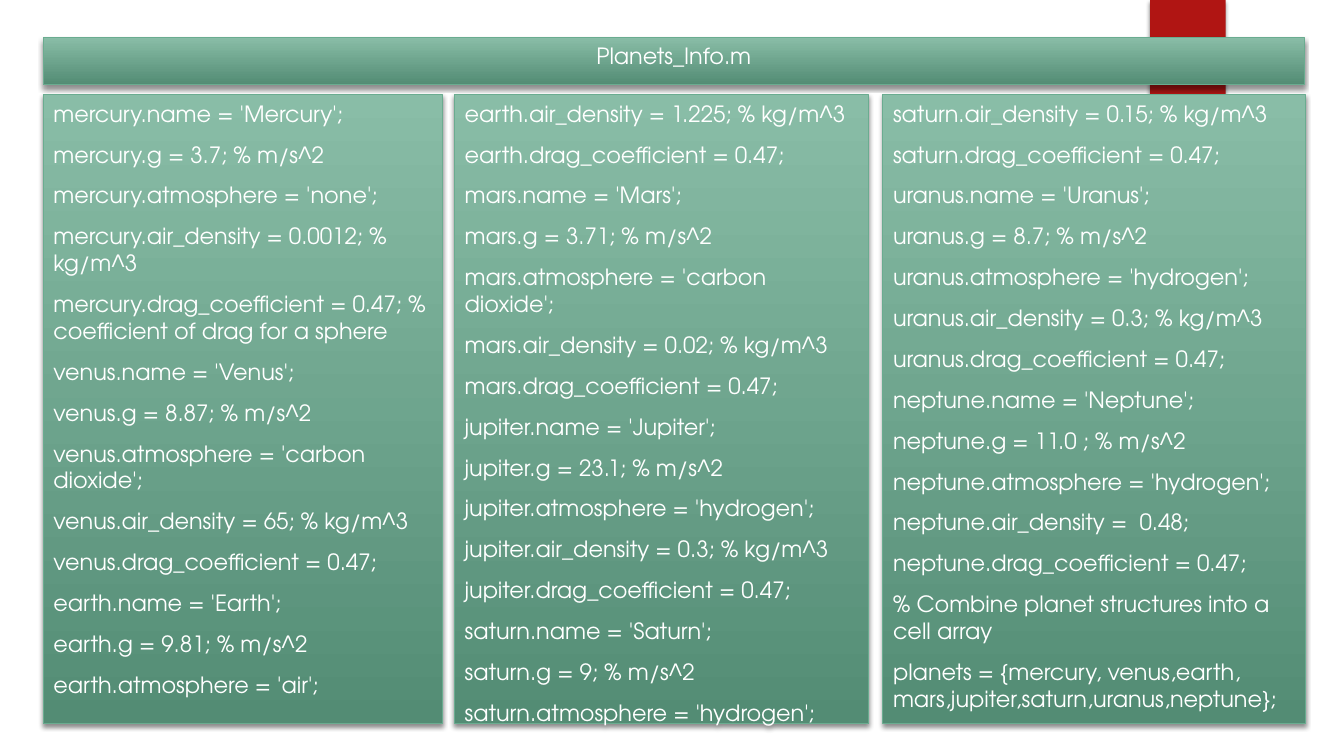
from lxml.etree import SubElement
from pptx import Presentation
from pptx.dml.color import RGBColor as Color
from pptx.enum.shapes import MSO_SHAPE as Preset
from pptx.enum.text import MSO_ANCHOR as Anchor, MSO_AUTO_SIZE as AutoSize, PP_ALIGN as Align
from pptx.oxml.ns import qn
from pptx.util import Pt

COLORS = {"ribbon": "B01513", "top": "89BDA7", "bottom": "538C74",
          "edge": "6AAC90", "text": "FFFFFF", "shadow": "000000"}
FRAME_FORMAT = {"word_wrap": True, "auto_size": AutoSize.NONE, "vertical_anchor": Anchor.TOP,
                "margin_left": Pt(7.2), "margin_right": Pt(7.2),
                "margin_top": Pt(3.6), "margin_bottom": Pt(3.6)}
PARA_FORMAT = {"space_before": Pt(10), "space_after": Pt(0), "line_spacing": 1.0}
FONT_FORMAT = {"name": "TeX Gyre Adventor", "size": Pt(16), "bold": False}

TITLE = "Planets_Info.m"
TITLE_PLACE = (30.96, 26.64, 900.72, 33.84)
COLUMN_TOP, COLUMN_HEIGHT = 67.68, 449.28
COLUMNS = [
    (30.96, 285.12, [
        "mercury.name = 'Mercury';",
        "mercury.g = 3.7; % m/s^2",
        "mercury.atmosphere = 'none';",
        "mercury.air_density = 0.0012; % kg/m^3",
        "mercury.drag_coefficient = 0.47; % coefficient of drag for a sphere",
        "venus.name = 'Venus';",
        "venus.g = 8.87; % m/s^2",
        "venus.atmosphere = 'carbon dioxide';",
        "venus.air_density = 65; % kg/m^3",
        "venus.drag_coefficient = 0.47;",
        "earth.name = 'Earth';",
        "earth.g = 9.81; % m/s^2",
        "earth.atmosphere = 'air';",
    ]),
    (324.72, 295.92, [
        "earth.air_density = 1.225; % kg/m^3",
        "earth.drag_coefficient = 0.47;",
        "mars.name = 'Mars';",
        "mars.g = 3.71; % m/s^2",
        "mars.atmosphere = 'carbon dioxide';",
        "mars.air_density = 0.02; % kg/m^3",
        "mars.drag_coefficient = 0.47;",
        "jupiter.name = 'Jupiter';",
        "jupiter.g = 23.1; % m/s^2",
        "jupiter.atmosphere = 'hydrogen';",
        "jupiter.air_density = 0.3; % kg/m^3",
        "jupiter.drag_coefficient = 0.47;",
        "saturn.name = 'Saturn';",
        "saturn.g = 9; % m/s^2",
        "saturn.atmosphere = 'hydrogen';",
    ]),
    (630.72, 301.68, [
        "saturn.air_density = 0.15; % kg/m^3",
        "saturn.drag_coefficient = 0.47;",
        "uranus.name = 'Uranus';",
        "uranus.g = 8.7; % m/s^2",
        "uranus.atmosphere = 'hydrogen';",
        "uranus.air_density = 0.3; % kg/m^3",
        "uranus.drag_coefficient = 0.47;",
        "neptune.name = 'Neptune';",
        "neptune.g = 11.0 ; % m/s^2",
        "neptune.atmosphere = 'hydrogen';",
        "neptune.air_density =  0.48;",
        "neptune.drag_coefficient = 0.47;",
        "% Combine planet structures into a cell array",
        "planets = {mercury, venus,earth, mars,jupiter,saturn,uranus,neptune};",
    ]),
]


def color(name):
    return Color.from_string(COLORS[name])


def apply_format(target, values):
    for name, value in values.items():
        setattr(target, name, value)


def add_shadow(shape):
    shape.shadow.inherit = False
    effects = shape.element.spPr.find(qn("a:effectLst"))
    shadow = SubElement(effects, qn("a:outerShdw"), blurRad=str(Pt(3)), dist=str(Pt(2)),
                        dir="5400000", algn="ctr", rotWithShape="0")
    tint = SubElement(shadow, qn("a:srgbClr"), val=COLORS["shadow"])
    SubElement(tint, qn("a:alpha"), val="45000")


def add_ribbon(page):
    ribbon = page.shapes.add_shape(Preset.RECTANGLE, Pt(821.52), Pt(0), Pt(54), Pt(90))
    ribbon.fill.solid()
    ribbon.fill.fore_color.rgb = color("ribbon")
    ribbon.line.fill.background()
    add_shadow(ribbon)
    ribbon.element.getparent().insert(2, ribbon.element)


def style_panel(box, place):
    apply_format(box, dict(zip(("left", "top", "width", "height"), map(Pt, place))))
    box.fill.gradient()
    box.fill.gradient_angle = 270
    for stop, name in zip(box.fill.gradient_stops, ("top", "bottom")):
        stop.color.rgb = color(name)
    box.line.color.rgb = color("edge")
    box.line.width = Pt(0.75)
    add_shadow(box)


def write_lines(box, lines, align):
    frame = box.text_frame
    apply_format(frame, FRAME_FORMAT)
    for index, line in enumerate(lines):
        para = frame.add_paragraph() if index else frame.paragraphs[0]
        apply_format(para, PARA_FORMAT | {"alignment": align})
        properties = para._p.get_or_add_pPr()
        properties.set("marL", "0")
        properties.set("indent", "0")
        SubElement(properties, qn("a:buNone"))
        span = para.add_run()
        span.text = line
        apply_format(span.font, FONT_FORMAT)
        span.font.color.rgb = color("text")


def main():
    deck = Presentation()
    deck.slide_width, deck.slide_height = Pt(960), Pt(540)
    page = deck.slides.add_slide(deck.slide_layouts.get_by_name("Comparison"))
    add_ribbon(page)
    title, *bodies = page.placeholders
    style_panel(title, TITLE_PLACE)
    write_lines(title, [TITLE], Align.CENTER)
    for box, (left, width, lines) in zip(bodies, COLUMNS):
        style_panel(box, (left, COLUMN_TOP, width, COLUMN_HEIGHT))
        write_lines(box, lines, Align.LEFT)
    for spare in bodies[len(COLUMNS):]:
        spare.element.getparent().remove(spare.element)
    deck.save("out.pptx")


if __name__ == "__main__":
    main()
